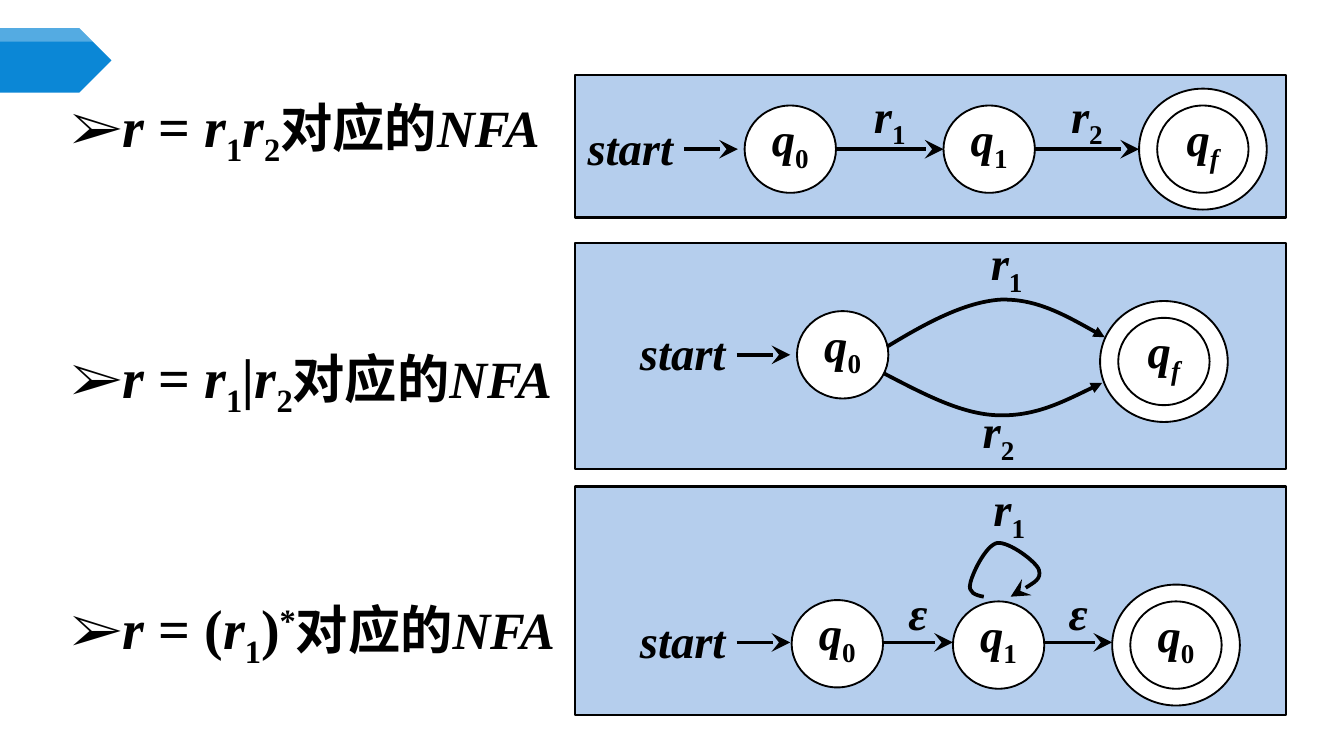
from lxml.etree import SubElement
from pptx import Presentation
from pptx.dml.color import RGBColor
from pptx.enum.shapes import MSO_CONNECTOR, MSO_SHAPE
from pptx.enum.text import MSO_ANCHOR, PP_ALIGN
from pptx.oxml.ns import qn
from pptx.util import Inches, Pt

BLACK = RGBColor(0x00, 0x00, 0x00)
WHITE = RGBColor(0xFF, 0xFF, 0xFF)
PANEL_BLUE = RGBColor(0xB5, 0xCE, 0xED)
BANNER_BLUE = RGBColor(0x0B, 0x87, 0xD6)
FONT = "Times New Roman"

# A run is (text, italic, baseline shift in percent).
SUB = -25
R1 = [("r", True, 0), ("1", False, SUB)]
R2 = [("r", True, 0), ("2", False, SUB)]
Q0 = [("q", True, 0), ("0", False, SUB)]
Q1 = [("q", True, 0), ("1", False, SUB)]
QF = [("q", True, 0), ("f", True, SUB)]
EPSILON = [("ε", True, 0)]
START = [("start", True, 0)]

HEADING_START = [("r ", True, 0), ("= ", False, 0)]
HEADING_END = [("对应的", False, 0), ("NFA", True, 0)]
EXPRESSIONS = [
    R1 + R2,
    R1 + [("|r", True, 0), R2[1]],
    [("(", False, 0)] + R1 + [(")", False, 0), ("*", False, 30)],
]

# Positions inside a panel are inches from its top left corner.
# The last state of each panel is the accepting one; axis is the arrows' height.
# A curve is (arrowhead, its size, start point followed by Bezier triples).
PANEL_LEFT, PANEL_WIDTH = 4.28, 5.29
PANELS = [
    {"top": 0.56, "height": 1.06, "start_end": 1.21, "axis": 0.55,
     "states": [(1.6, 0.55, Q0), (3.08, 0.55, Q1), (4.67, 0.55, QF)],
     "steps": [R1, R2], "curves": [], "labels": []},
    {"top": 1.81, "height": 1.68, "start_end": 1.6, "axis": 0.83,
     "states": [(1.99, 0.83, Q0), (4.38, 0.88, QF)],
     "steps": [],
     "curves": [
         ("triangle", "med", [(2.32, 0.77), (2.6, 0.6), (2.89, 0.44), (3.16, 0.42),
                              (3.43, 0.41), (3.69, 0.56), (3.94, 0.7)]),
         ("triangle", "med", [(2.3, 0.97), (2.59, 1.12), (2.87, 1.27), (3.14, 1.28),
                              (3.42, 1.29), (3.67, 1.16), (3.92, 1.04)])],
     "labels": [(3.21, 0.17, R1), (3.15, 1.42, R2)]},
    {"top": 3.62, "height": 1.7, "start_end": 1.6, "axis": 1.16,
     "states": [(1.95, 1.17, Q0), (3.15, 1.18, Q1), (4.47, 1.18, Q0)],
     "steps": [EPSILON, EPSILON],
     "curves": [
         ("stealth", "lg", [(3.04, 0.82), (2.98, 0.81), (2.92, 0.79), (2.94, 0.72),
                            (2.95, 0.66), (3.05, 0.44), (3.14, 0.42),
                            (3.23, 0.41), (3.43, 0.56), (3.45, 0.62),
                            (3.47, 0.69), (3.35, 0.76), (3.24, 0.82)])],
     "labels": [(3.23, 0.19, R1)]},
]
STATE_SIZE, ACCEPT_SIZE, LABEL_SIZE = (0.68, 0.65), (0.95, 0.9), (0.8, 0.52)
START_ARROW = 0.4
STEP_LABEL_RISE = 0.23

# Banner outlines, with an opacity in percent.
BANNER = [
    (BANNER_BLUE, 100, [(0, 0.21), (0.59, 0.21), (0.83, 0.45), (0.59, 0.69), (0, 0.69)]),
    (WHITE, 30, [(0, 0.21), (0.59, 0.21), (0.69, 0.31), (0, 0.31)]),
]

prs = Presentation()
prs.slide_width = Inches(10)
prs.slide_height = prs.slide_width * 9 // 16
slide = prs.slides.add_slide(prs.slide_layouts[6])
shapes = slide.shapes


def write_runs(paragraph, runs, size):
    for text, italic, baseline in runs:
        run = paragraph.add_run()
        run.text = text
        font = run.font
        font.name, font.size, font.bold, font.italic = FONT, Pt(size), True, italic
        font.color.rgb = BLACK
        if baseline:
            font._element.set("baseline", str(baseline * 1000))


def write_centred(shape, runs, anchor):
    frame = shape.text_frame
    frame.word_wrap = False
    frame.margin_left = frame.margin_right = 0
    frame.vertical_anchor = anchor
    frame.paragraphs[0].alignment = PP_ALIGN.CENTER
    write_runs(frame.paragraphs[0], runs, 25)


def box_around(x, y, size):
    width, height = size
    return [Inches(v) for v in (x - width / 2, y - height / 2, width, height)]


def add_outlined(preset, box, fill, line_width):
    shape = shapes.add_shape(preset, *box)
    shape.shadow.inherit = False
    shape.fill.solid()
    shape.fill.fore_color.rgb = fill
    shape.line.color.rgb = BLACK
    shape.line.width = Pt(line_width)
    return shape


def add_label(x, y, runs):
    write_centred(shapes.add_textbox(*box_around(x, y, LABEL_SIZE)), runs, MSO_ANCHOR.MIDDLE)


def style_arrow(arrow, head, head_size):
    arrow.line.color.rgb = BLACK
    arrow.line.width = Pt(2)
    SubElement(arrow.line._get_or_add_ln(), qn("a:tailEnd"),
               type=head, w=head_size, len=head_size)


def add_arrow(x1, x2, y):
    arrow = shapes.add_connector(
        MSO_CONNECTOR.STRAIGHT, *[Inches(v) for v in (x1, y, x2, y)])
    style_arrow(arrow, "stealth", "lg")
    SubElement(arrow._element.spPr, qn("a:effectLst"))


def add_outline(points, close):
    first, *rest = [(Inches(x), Inches(y)) for x, y in points]
    builder = shapes.build_freeform(*first)
    builder.add_line_segments(rest, close=close)
    outline = builder.convert_to_shape()
    outline.shadow.inherit = False
    return outline


def add_curve(points, head, head_size):
    """Draw an arrow whose points after the first are Bezier triples."""
    curve = add_outline(points, close=False)
    curve.fill.background()
    style_arrow(curve, head, head_size)
    segments = curve._element.xpath(".//a:lnTo")
    outline = segments[0].getparent()
    for i in range(0, len(segments), 3):
        bezier = SubElement(outline, qn("a:cubicBezTo"))
        for segment in segments[i:i + 3]:
            bezier.append(segment[0])
            outline.remove(segment)


def add_headings():
    frame = shapes.add_textbox(Inches(0.43), Inches(0.63), Inches(6.48), Inches(4.9)).text_frame
    frame.word_wrap = True
    for i, expression in enumerate(EXPRESSIONS):
        paragraph = frame.add_paragraph() if i else frame.paragraphs[0]
        if i:
            paragraph.space_before = Pt(93.5)
        properties = paragraph._p.get_or_add_pPr()
        properties.set("marL", str(Inches(0.3)))
        properties.set("indent", str(-Inches(0.3)))
        colour = SubElement(properties, qn("a:buClr"))
        SubElement(colour, qn("a:srgbClr"), val=str(BLACK))
        SubElement(properties, qn("a:buFont"), typeface=FONT)
        SubElement(properties, qn("a:buChar"), char="➢")
        write_runs(paragraph, HEADING_START + expression, 30)
        write_runs(paragraph, HEADING_END, 28)


def add_panel(panel):
    left, top = PANEL_LEFT, panel["top"]
    add_outlined(MSO_SHAPE.RECTANGLE,
                 [Inches(v) for v in (left, top, PANEL_WIDTH, panel["height"])],
                 PANEL_BLUE, 1.25)
    states = [(left + x, top + y, runs) for x, y, runs in panel["states"]]
    for state in states:
        x, y, runs = state
        if state is states[-1]:
            add_outlined(MSO_SHAPE.OVAL, box_around(x, y, ACCEPT_SIZE), WHITE, 1)
        circle = add_outlined(MSO_SHAPE.OVAL, box_around(x, y, STATE_SIZE), WHITE, 1)
        write_centred(circle, runs, MSO_ANCHOR.BOTTOM)

    axis, arrow_end = top + panel["axis"], left + panel["start_end"]
    arrow_start = arrow_end - START_ARROW
    add_arrow(arrow_start, arrow_end, axis)
    add_label(arrow_start - LABEL_SIZE[0] / 2, axis - 0.02, START)

    for i, runs in enumerate(panel["steps"]):
        target_size = ACCEPT_SIZE if i + 2 == len(states) else STATE_SIZE
        x1 = states[i][0] + STATE_SIZE[0] / 2
        x2 = states[i + 1][0] - target_size[0] / 2
        add_arrow(x1, x2, axis)
        add_label((x1 + x2) / 2, axis - STEP_LABEL_RISE, runs)

    for head, head_size, points in panel["curves"]:
        add_curve([(left + x, top + y) for x, y in points], head, head_size)
    for x, y, runs in panel["labels"]:
        add_label(left + x, top + y, runs)


add_headings()
for colour, opacity, points in BANNER:
    stripe = add_outline(points, close=True)
    stripe.fill.solid()
    stripe.fill.fore_color.rgb = colour
    stripe.line.fill.background()
    if opacity < 100:
        SubElement(stripe._element.xpath(".//a:solidFill/a:srgbClr")[0],
                   qn("a:alpha"), val=str(opacity * 1000))
for panel in PANELS:
    add_panel(panel)

prs.save("out.pptx")
